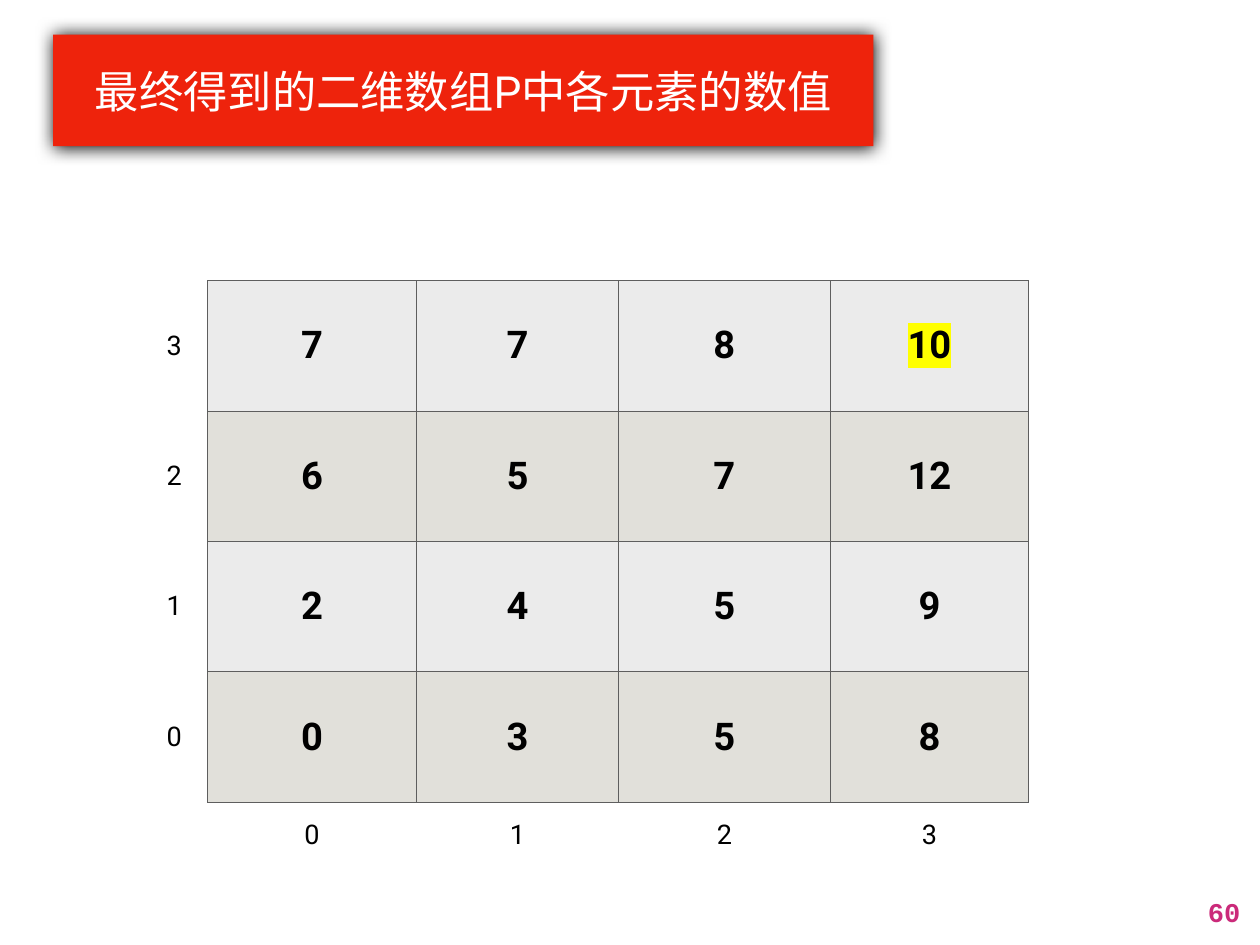
"""Build the slide that shows the final values of the two-dimensional array P."""
from lxml import etree
from pptx import Presentation
from pptx.dml.color import RGBColor
from pptx.enum import text
from pptx.oxml import ns
from pptx.util import Cm, Pt

TITLE = "最终得到的二维数组P中各元素的数值"
PAGE = "60"
ROWS = [
    ("3", "7", "7", "8", "10"),
    ("2", "6", "5", "7", "12"),
    ("1", "2", "4", "5", "9"),
    ("0", "0", "3", "5", "8"),
    ("", "0", "1", "2", "3"),
]
COL_WIDTHS = [1.91, 5.99, 5.79, 6.07, 5.69]
ROW_HEIGHTS = [3.74] * 4 + [1.86]
HIGHLIGHTED = (0, 4)

RED = RGBColor(0xEE, 0x23, 0x0C)
WHITE = RGBColor(0xFF, 0xFF, 0xFF)
BLACK = RGBColor(0, 0, 0)
PINK = RGBColor(0xCB, 0x2A, 0x7A)
GREY = RGBColor(0x5E, 0x5E, 0x5E)
YELLOW = RGBColor(0xFF, 0xFF, 0)
BANDS = [RGBColor(0xEB, 0xEB, 0xEB), RGBColor(0xE1, 0xE0, 0xDA)]


def add(parent, tag, **attrs):
    return etree.SubElement(parent, ns.qn(tag), attrs)


def add_color(parent, color):
    add(parent, "a:srgbClr", val=str(color))


def style(p, size, color, name="Roboto", bold=False, align=text.PP_ALIGN.CENTER):
    p.alignment = align
    p.font.size, p.font.name, p.font.bold = Pt(size), name, bold
    p.font.color.rgb = color


def set_margins(box, size):
    box.margin_left = box.margin_right = box.margin_top = box.margin_bottom = Cm(size)


def set_borders(cell, drawn):
    tc_pr = cell._tc.get_or_add_tcPr()
    for i, side in enumerate("LRTB"):
        ln = add(tc_pr, f"a:ln{side}", w=str(Pt(1)))
        if side in drawn:
            add_color(add(ln, "a:solidFill"), GREY)
        else:
            add(ln, "a:noFill")
        tc_pr.insert(i, ln)


def add_title(s):
    sp = s.shapes.title
    sp.left, sp.top, sp.width, sp.height = Cm(1.52), Cm(0.99), Cm(23.52), Cm(3.2)
    sp.fill.solid()
    sp.fill.fore_color.rgb = RED
    sp.shadow.inherit = False
    effects = sp._element.spPr.find(ns.qn("a:effectLst"))
    add_color(add(effects, "a:outerShdw", blurRad=str(Pt(15)), dist=str(Pt(0.7)),
                  dir="5400000", rotWithShape="0"), BLACK)
    tf = sp.text_frame
    tf.text = TITLE
    tf.auto_size = text.MSO_AUTO_SIZE.NONE
    tf.vertical_anchor = text.MSO_ANCHOR.MIDDLE
    set_margins(tf, 0.18)
    style(tf.paragraphs[0], 36, WHITE)


def add_page_number(s):
    tf = s.shapes.add_textbox(Cm(34.42), Cm(25.5), Cm(1.32), Cm(1.27)).text_frame
    tf.text = PAGE
    tf.word_wrap = False
    set_margins(tf, 0.18)
    style(tf.paragraphs[0], 22, PINK, "Courier New", True, text.PP_ALIGN.RIGHT)


def add_array(s):
    table = s.shapes.add_table(len(ROWS), len(COL_WIDTHS), Cm(4.04), Cm(8.05),
                               Cm(sum(COL_WIDTHS)), Cm(sum(ROW_HEIGHTS))).table
    table.first_row = table.horz_banding = False
    for col, width in zip(table.columns, COL_WIDTHS):
        col.width = Cm(width)
    for row, height in zip(table.rows, ROW_HEIGHTS):
        row.height = Cm(height)
    last = len(ROWS) - 1
    for i, values in enumerate(ROWS):
        for j, value in enumerate(values):
            cell = table.cell(i, j)
            is_value = i < last and j > 0
            cell.vertical_anchor = text.MSO_ANCHOR.MIDDLE
            set_margins(cell, 0.15)
            if is_value:
                cell.fill.solid()
                cell.fill.fore_color.rgb = BANDS[i % 2]
                set_borders(cell, "LRTB")
            else:
                cell.fill.background()
                set_borders(cell, "R" if i < last else "T" if j > 0 else "")
            p = cell.text_frame.paragraphs[0]
            if value:
                r = p.add_run()
                r.text = value
                if (i, j) == HIGHLIGHTED:
                    add_color(add(r._r.get_or_add_rPr(), "a:highlight"), YELLOW)
            style(p, 31 if is_value else 22, BLACK, bold=is_value)


def main():
    prs = Presentation()
    prs.slide_width, prs.slide_height = Cm(36.12), Cm(27.1)
    s = prs.slides.add_slide(prs.slide_layouts[5])
    add_title(s)
    add_page_number(s)
    add_array(s)
    prs.save("out.pptx")


if __name__ == "__main__":
    main()
